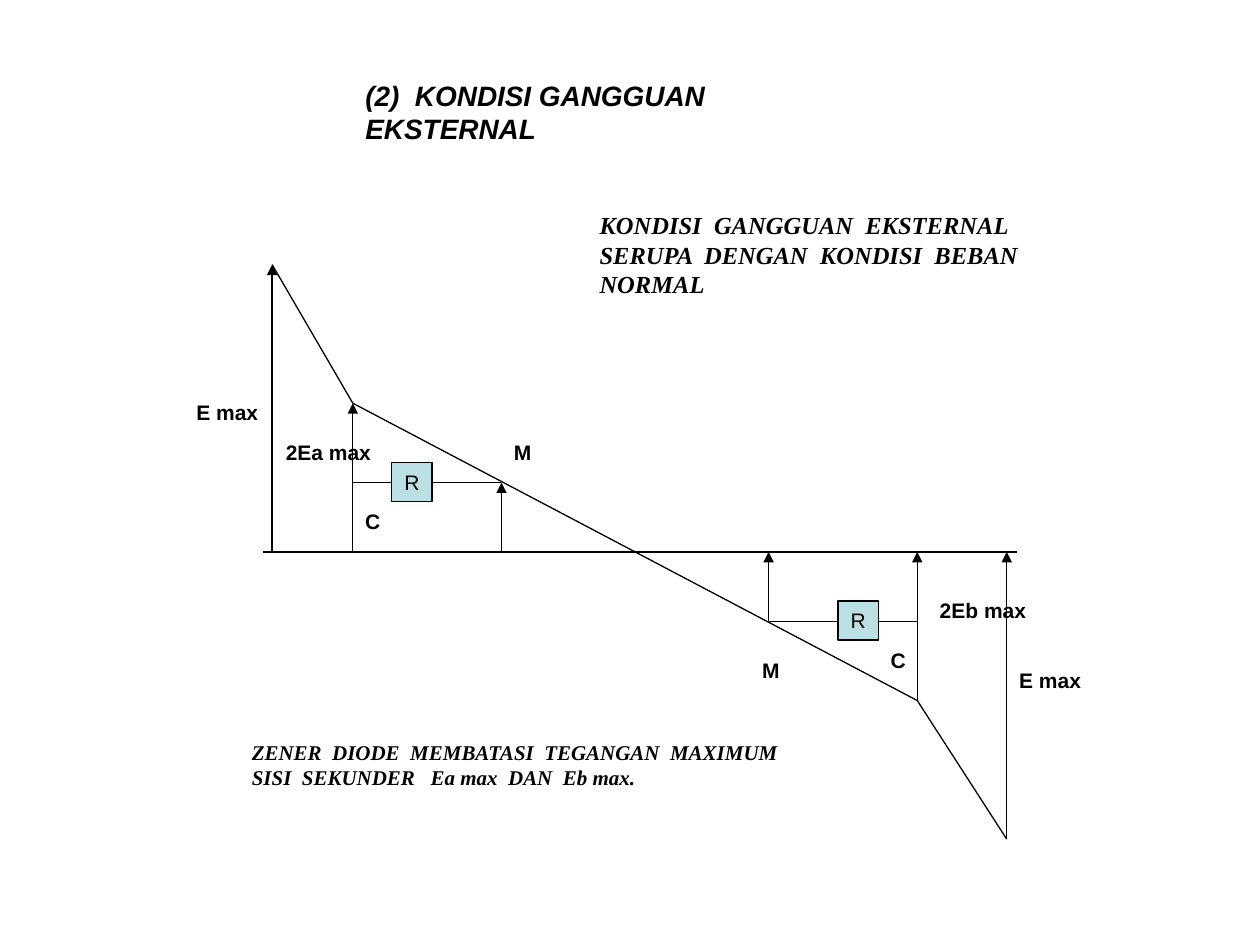
from lxml.etree import SubElement
from pptx import Presentation
from pptx.dml.color import RGBColor
from pptx.enum.shapes import MSO_CONNECTOR, MSO_SHAPE
from pptx.enum.text import MSO_ANCHOR, MSO_AUTO_SIZE, PP_ALIGN
from pptx.oxml.ns import qn
from pptx.util import Inches, Pt

BLACK = RGBColor(0, 0, 0)
TEAL = RGBColor(0xBB, 0xE0, 0xE3)
SANS, SERIF = "Arial", "Times New Roman"

TITLE = "(2)  KONDISI GANGGUAN EKSTERNAL"
NOTES = [
    (4.66, 1.62, 3.55, 0.8, 14, [
        "KONDISI  GANGGUAN  EKSTERNAL",
        "SERUPA  DENGAN  KONDISI  BEBAN",
        "NORMAL",
    ]),
    (1.9, 5.82, 4.39, 0.5, 12, [
        "ZENER  DIODE  MEMBATASI  TEGANGAN  MAXIMUM",
        "SISI  SEKUNDER   Ea max  DAN  Eb max.",
    ]),
]
LABELS = [
    ("E max", 1.46, 3.12, 0.69),
    ("E max", 7.99, 5.25, 0.69),
    ("C", 2.8, 3.99, 0.32),
    ("C", 6.97, 5.09, 0.32),
    ("2Ea max", 2.17, 3.44, 0.87),
    ("2Eb max", 7.36, 4.69, 0.88),
    ("M", 3.98, 3.44, 0.34),
    ("M", 5.95, 5.17, 0.34),
]
RELAYS = [(3.11, 3.67), (6.65, 4.77)]

AXIS = 4.38
CURVE = [(2.16, 2.1), (2.8, 3.2), (7.28, 5.56), (7.99, 6.66)]
TAPS = [(3.98, 3.83), (6.1, 4.93)]
EMF_A, SEC_A, SEC_B, EMF_B = CURVE
TAP_A, TAP_B = TAPS
LINES = [
    ((2.09, AXIS), (8.07, AXIS)),
    *zip(CURVE, CURVE[1:]),
    ((SEC_A[0], TAP_A[1]), TAP_A),
    (TAP_B, (SEC_B[0], TAP_B[1])),
]
ARROWS = [((x, max(y, AXIS)), (x, min(y, AXIS))) for x, y in CURVE + TAPS]


def write(shape, rows, size, font=SANS, bold=True, slant=False,
          align=PP_ALIGN.LEFT, anchor=MSO_ANCHOR.TOP):
    frame = shape.text_frame
    frame.word_wrap = False
    frame.auto_size = MSO_AUTO_SIZE.NONE
    frame.vertical_anchor = anchor
    for i, row in enumerate(rows):
        para = frame.add_paragraph() if i else frame.paragraphs[0]
        para.alignment = align
        run = para.add_run()
        run.text = row
        run.font.size = Pt(size)
        run.font.name = font
        run.font.bold = bold
        run.font.italic = slant
        run.font.color.rgb = BLACK


def draw(shapes, start, end, arrow=False):
    line = shapes.add_connector(
        MSO_CONNECTOR.STRAIGHT, *map(Inches, start + end))
    line.line.color.rgb = BLACK
    line.line.width = Pt(0.75)
    if arrow:
        SubElement(line.line._get_or_add_ln(), qn("a:tailEnd"), type="triangle")
    SubElement(line._element.spPr, qn("a:effectLst"))


def main():
    deck = Presentation()
    deck.slide_width, deck.slide_height = Inches(10), Inches(7.5)
    slide = deck.slides.add_slide(deck.slide_layouts[5])
    shapes = slide.shapes

    title = shapes.title
    title.left, title.top = Inches(2.8), Inches(0.57)
    title.width, title.height = Inches(4.31), Inches(0.37)
    write(title, [TITLE], 16, slant=True)

    for start, end in LINES:
        draw(shapes, start, end)
    for start, end in ARROWS:
        draw(shapes, start, end, arrow=True)

    for x, y in RELAYS:
        box = shapes.add_shape(
            MSO_SHAPE.RECTANGLE, *map(Inches, (x, y, 0.32, 0.31)))
        box.shadow.inherit = False
        box.fill.solid()
        box.fill.fore_color.rgb = TEAL
        box.line.color.rgb = BLACK
        box.line.width = Pt(0.75)
        write(box, ["R"], 12, bold=False, align=PP_ALIGN.CENTER,
              anchor=MSO_ANCHOR.MIDDLE)

    for text, x, y, wide in LABELS:
        box = shapes.add_textbox(*map(Inches, (x, y, wide, 0.3)))
        write(box, [text], 12)
    for x, y, wide, high, size, rows in NOTES:
        box = shapes.add_textbox(*map(Inches, (x, y, wide, high)))
        write(box, rows, size, SERIF, slant=True)

    deck.save("out.pptx")


if __name__ == "__main__":
    main()
